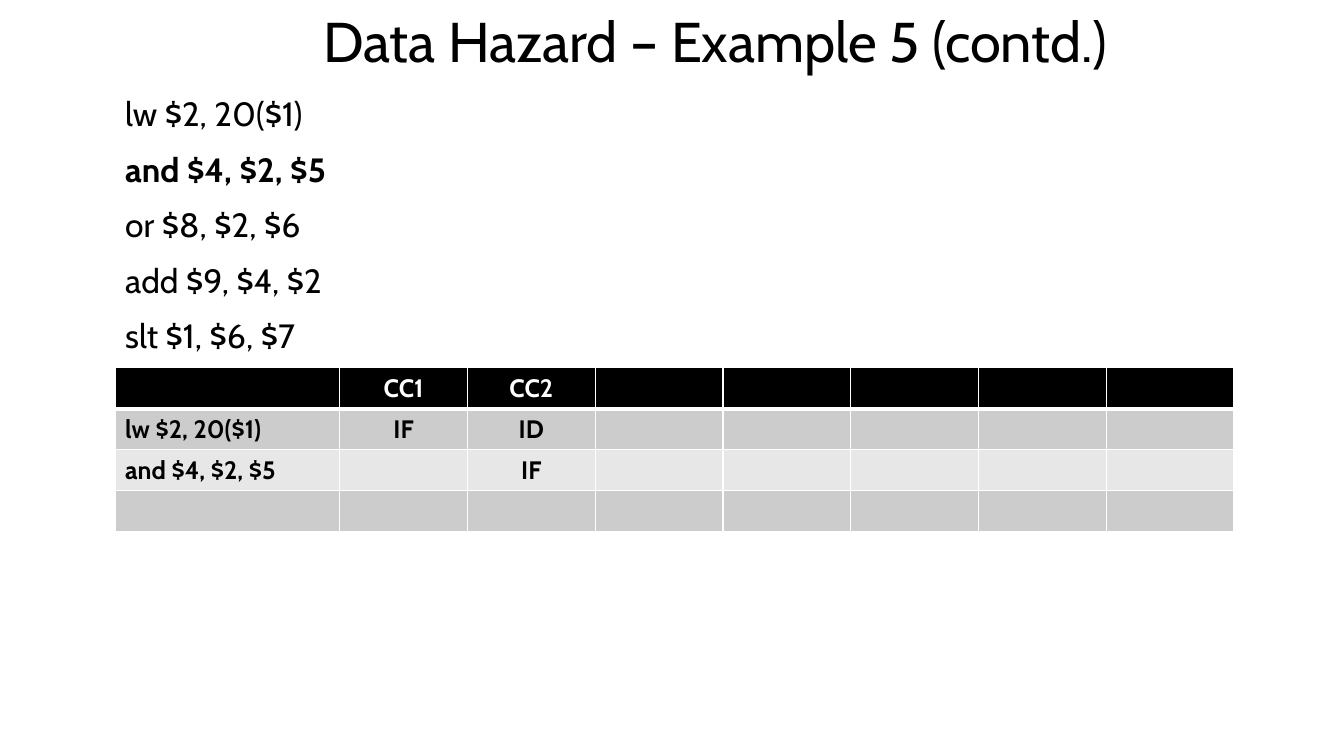
from lxml.etree import SubElement
from pptx import Presentation
from pptx.dml.color import RGBColor
from pptx.enum.text import MSO_ANCHOR, MSO_AUTO_SIZE, PP_ALIGN
from pptx.oxml.ns import qn
from pptx.util import Cm, Pt

BLACK = RGBColor(0, 0, 0)
WHITE = RGBColor(255, 255, 255)
GRAY = RGBColor(0xCC, 0xCC, 0xCC)
PALE = RGBColor(0xE7, 0xE7, 0xE7)
FONT = "Cabin"

CODE = ["lw $2, 20($1)", "and $4, $2, $5", "or $8, $2, $6",
        "add $9, $4, $2", "slt $1, $6, $7"]
ACTIVE = 1
STAGES = [
    ["", "CC1", "CC2"],
    [CODE[0], "IF", "ID"],
    [CODE[1], "", "IF"],
    [],
]
CYCLES = 7


def write(par, text, size=18, bold=False, color=BLACK, align=PP_ALIGN.LEFT):
    par.alignment = align
    run = par.add_run()
    run.text = text
    font = run.font
    font.name, font.size, font.bold = FONT, Pt(size), bold
    font.color.rgb = color


def place(holder, left, top, width, height):
    """Move a placeholder to its box and return its text frame."""
    holder.left, holder.top = Cm(left), Cm(top)
    holder.width, holder.height = Cm(width), Cm(height)
    frame = holder.text_frame
    frame.word_wrap = True
    frame.auto_size = MSO_AUTO_SIZE.NONE
    frame.vertical_anchor = MSO_ANCHOR.MIDDLE
    return frame


def add_title(slide, text, *box):
    frame = place(slide.shapes.title, *box)
    write(frame.paragraphs[0], text, size=40, align=PP_ALIGN.CENTER)


def add_code(slide, lines, *box):
    frame = place(slide.placeholders[1], *box)
    for i, line in enumerate(lines):
        par = frame.add_paragraph() if i else frame.paragraphs[0]
        write(par, line, size=24, bold=i == ACTIVE, align=PP_ALIGN.JUSTIFY)
        par.space_before, par.space_after = Pt(4.8), Pt(6)
        props = par._p.get_or_add_pPr()
        props.set("marL", "0")
        props.set("indent", "0")
        SubElement(props, qn("a:buNone"))


def add_edges(cell, **widths):
    """Draw white cell borders; widths are points by side L, R, T, B."""
    props = cell._tc.get_or_add_tcPr()
    for side, width in widths.items():
        line = SubElement(props, qn(f"a:ln{side}"), w=str(Pt(width)))
        fill = SubElement(line, qn("a:solidFill"))
        SubElement(fill, qn("a:srgbClr"), val=str(WHITE))


def add_stages(slide, rows, left, top, first, step, height):
    """Draw the pipeline table: a label column, then equal clock cycles."""
    width = first + CYCLES * step
    table = slide.shapes.add_table(
        len(rows), CYCLES + 1, Cm(left), Cm(top),
        Cm(width), Cm(height * len(rows))).table
    for c, col in enumerate(table.columns):
        col.width = Cm(step if c else first)
    for r, texts in enumerate(rows):
        table.rows[r].height = Cm(height)
        shade = (GRAY if r % 2 else PALE) if r else BLACK
        for c in range(CYCLES + 1):
            cell = table.cell(r, c)
            add_edges(cell, L=1, R=1, T=3 if r == 1 else 1, B=1 if r else 3)
            cell.fill.solid()
            cell.fill.fore_color.rgb = shade
            if c < len(texts) and texts[c]:
                write(cell.text_frame.paragraphs[0], texts[c], bold=True,
                      color=BLACK if r else WHITE,
                      align=PP_ALIGN.CENTER if c else PP_ALIGN.LEFT)


def main():
    deck = Presentation()
    deck.slide_width, deck.slide_height = Cm(33.87), Cm(19.05)
    slide = deck.slides.add_slide(deck.slide_layouts[1])
    add_title(slide, "Data Hazard – Example 5 (contd.)", 4.11, 0, 27.84, 2.03)
    add_code(slide, CODE, 2.9, 2.03, 27.84, 7.24)
    add_stages(slide, STAGES, 2.9, 9.27, first=5.66, step=3.22, height=1.03)
    deck.save("out.pptx")


if __name__ == "__main__":
    main()
